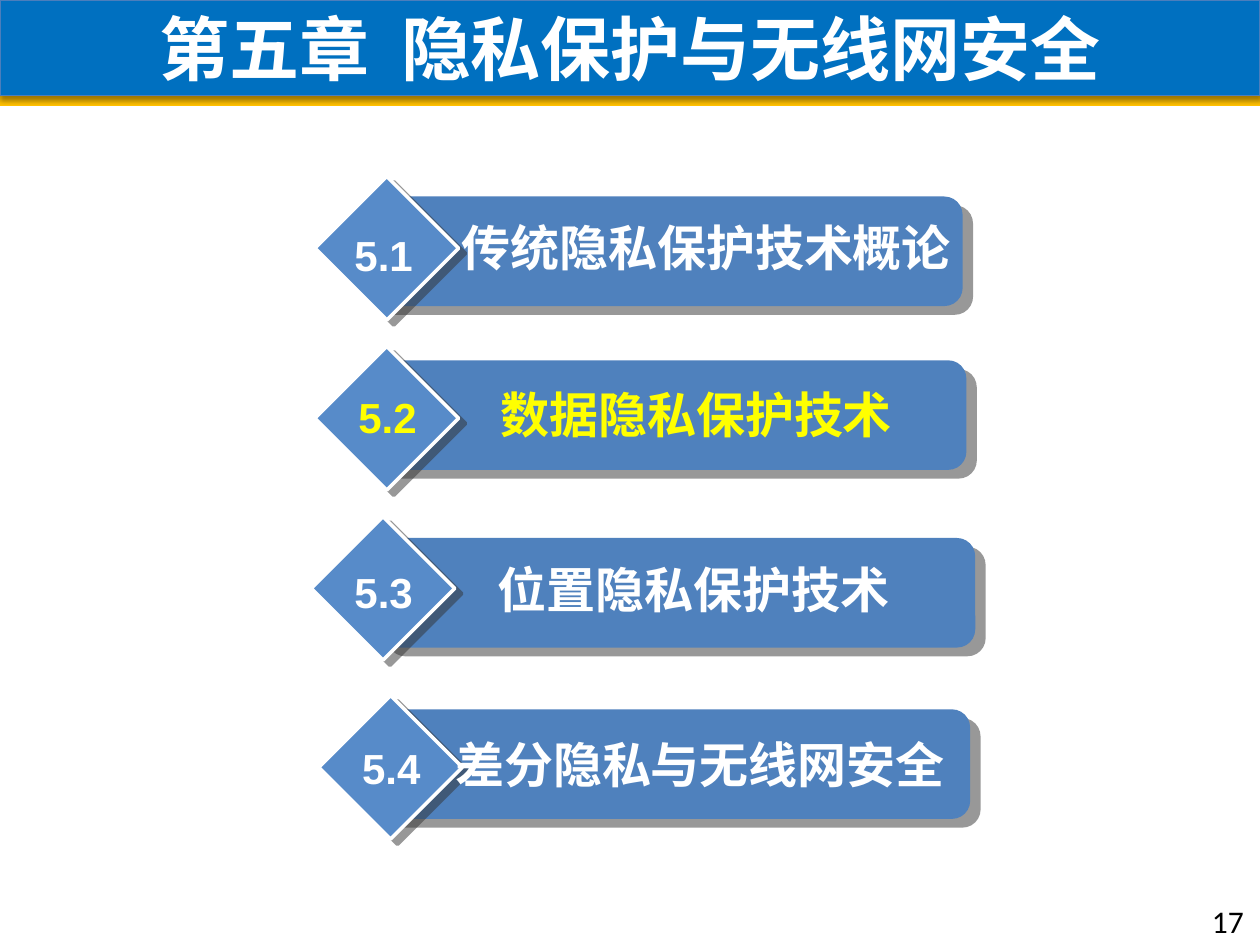
"""Build the chapter five contents slide with four numbered sections."""
from dataclasses import dataclass
from typing import Any, NamedTuple, Optional

from lxml.etree import SubElement
from pptx import Presentation
from pptx.dml.color import RGBColor
from pptx.enum.shapes import MSO_SHAPE
from pptx.enum.text import MSO_ANCHOR, PP_ALIGN
from pptx.oxml.ns import qn
from pptx.util import Inches, Pt

COLUMNS, ROWS = 100, 75
WIDTH, HEIGHT = Inches(10), Inches(7.5)


class Area(NamedTuple):
    left: float
    top: float
    width: float
    height: float

    def lengths(self) -> list[int]:
        column, row = WIDTH / COLUMNS, HEIGHT / ROWS
        return [round(cells * unit) for cells, unit in zip(self, (column, row) * 2)]


class Shadow(NamedTuple):
    color: str
    alpha: int
    blur: float
    distance: float
    angle: int


class Outline(NamedTuple):
    color: str
    width: float


class Type(NamedTuple):
    size: int
    face: str
    bold: bool = True


class Spot(NamedTuple):
    left: float
    top: float


@dataclass(frozen=True)
class Theme:
    banner: str = "0070C0"
    stripe: str = "FFC000"
    bar: str = "4F81BD"
    diamond: str = "578BC9"
    light: str = "FFFFFF"
    current: str = "FFFF00"
    dark: str = "000000"
    east_asian: str = "Noto Sans CJK SC"
    title: Type = Type(40, "Noto Sans CJK SC")
    topic: Type = Type(28, "Calibri")
    number: Type = Type(24, "Arial")
    page: Type = Type(18, "Calibri", False)
    banner_line: Outline = Outline("4B7EBC", 0.75)
    diamond_line: Outline = Outline("FFFFFF", 2)
    banner_shadow: Shadow = Shadow("000000", 38, 3.1, 1.6, 90)
    bar_shadow: Shadow = Shadow("333333", 50, 0, 7.8, 40)
    diamond_shadow: Shadow = Shadow("333333", 50, 0, 5, 37)


@dataclass(frozen=True)
class Section:
    number: str
    topic: str
    bar: Spot
    diamond: Spot
    topic_spot: Spot
    number_spot: Spot
    current: bool = False


THEME = Theme()
SECTIONS = (
    Section("5.1", "传统隐私保护技术概论", Spot(28.9, 15.6), Spot(25, 14),
            Spot(34.7, 16.8), Spot(27.1, 17.7)),
    Section("5.2", "数据隐私保护技术", Spot(29.2, 28.6), Spot(25, 27.5),
            Spot(33.9, 30), Spot(27.4, 30.6), current=True),
    Section("5.3", "位置隐私保护技术", Spot(29.9, 42.7), Spot(24.7, 41),
            Spot(33.7, 43.9), Spot(27.1, 44.5)),
    Section("5.4", "差分隐私与无线网安全", Spot(29.5, 56.3), Spot(25.3, 55.2),
            Spot(34.2, 57.8), Spot(27.7, 58.4)),
)


def cast_shadow(shape: Any, shadow: Shadow) -> None:
    effects = shape._element.spPr.find(qn("a:effectLst"))
    outer = SubElement(effects, qn("a:outerShdw"), {
        "blurRad": str(Pt(shadow.blur)), "dist": str(Pt(shadow.distance)),
        "dir": str(shadow.angle * 60000), "algn": "ctr", "rotWithShape": "0"})
    color = SubElement(outer, qn("a:srgbClr"), {"val": shadow.color})
    SubElement(color, qn("a:alpha"), {"val": str(shadow.alpha * 1000)})


def draw_shape(shapes: Any, kind: MSO_SHAPE, area: Area, fill: str,
               outline: Optional[Outline] = None,
               shadow: Optional[Shadow] = None) -> Any:
    shape = shapes.add_shape(kind, *area.lengths())
    shape.fill.solid()
    shape.fill.fore_color.rgb = RGBColor.from_string(fill)
    if outline:
        shape.line.color.rgb = RGBColor.from_string(outline.color)
        shape.line.width = Pt(outline.width)
    else:
        shape.line.fill.background()
    shape.shadow.inherit = False
    if shadow:
        cast_shadow(shape, shadow)
    return shape


def add_run(paragraph: Any, text: str, style: Type, color: str) -> Any:
    run = paragraph.add_run()
    run.text = text
    formats = {"size": Pt(style.size), "name": style.face, "bold": style.bold}
    for name, value in formats.items():
        setattr(run.font, name, value)
    run.font.color.rgb = RGBColor.from_string(color)
    SubElement(run.font._element, qn("a:ea"), {"typeface": THEME.east_asian})
    return run


def draw_text(shapes: Any, area: Area, text: str, style: Type, color: str,
              align: PP_ALIGN = PP_ALIGN.CENTER, wrap: bool = True) -> None:
    frame = shapes.add_textbox(*area.lengths()).text_frame
    frame.word_wrap = wrap
    paragraph = frame.paragraphs[0]
    paragraph.alignment = align
    add_run(paragraph, text, style, color)


def draw_banner(shapes: Any) -> None:
    draw_shape(shapes, MSO_SHAPE.RECTANGLE, Area(0, 7.6, COLUMNS, 0.8), THEME.stripe)
    banner = draw_shape(shapes, MSO_SHAPE.RECTANGLE, Area(0, 0, COLUMNS, 7.6),
                        THEME.banner, THEME.banner_line, THEME.banner_shadow)
    frame = banner.text_frame
    frame.vertical_anchor = MSO_ANCHOR.MIDDLE
    heading = frame.paragraphs[0]
    heading.alignment = PP_ALIGN.CENTER
    add_run(heading, "第五章", THEME.title, THEME.light)
    gap = add_run(heading, " ", THEME.title, THEME.light)
    gap.font._element.set("spc", "900")
    add_run(heading, "隐私保护与无线网安全", THEME.title, THEME.light)


def draw_section(slide_shapes: Any, section: Section) -> None:
    shapes = slide_shapes.add_group_shape().shapes
    color = THEME.current if section.current else THEME.light
    draw_shape(shapes, MSO_SHAPE.ROUNDED_RECTANGLE, Area(*section.bar, 47.5, 8.7),
               THEME.bar, shadow=THEME.bar_shadow)
    draw_shape(shapes, MSO_SHAPE.DIAMOND, Area(*section.diamond, 11.4, 11.4),
               THEME.diamond, THEME.diamond_line, THEME.diamond_shadow)
    draw_text(shapes, Area(*section.topic_spot, 42.7, 5.7), section.topic,
              THEME.topic, color)
    draw_text(shapes, Area(*section.number_spot, 6.7, 5), section.number,
              THEME.number, color, wrap=False)


def main() -> None:
    deck = Presentation()
    deck.slide_width, deck.slide_height = WIDTH, HEIGHT
    shapes = deck.slides.add_slide(deck.slide_layouts[6]).shapes
    draw_banner(shapes)
    for section in SECTIONS:
        draw_section(shapes, section)
    draw_text(shapes, Area(95.2, 71.1, 4.7, 4), "17", THEME.page, THEME.dark,
              PP_ALIGN.LEFT)
    deck.save("out.pptx")


if __name__ == "__main__":
    main()
